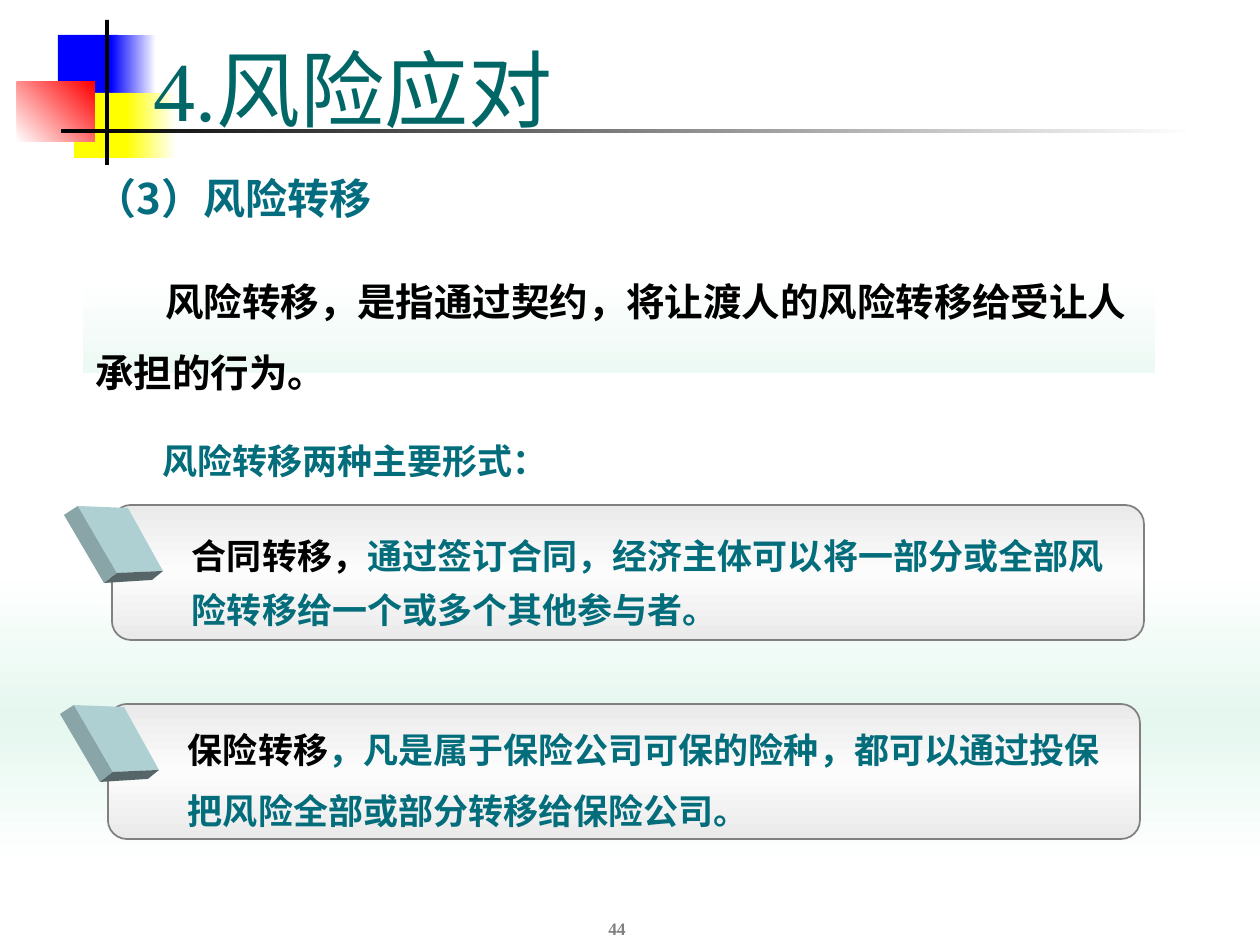
from copy import deepcopy
from dataclasses import dataclass
from pptx import Presentation
from pptx.dml.color import RGBColor
from pptx.enum.shapes import MSO_SHAPE
from pptx.enum.text import MSO_ANCHOR, MSO_AUTO_SIZE, PP_ALIGN
from pptx.oxml.ns import qn
from pptx.util import Pt

RECT, ROUND = MSO_SHAPE.RECTANGLE, MSO_SHAPE.ROUNDED_RECTANGLE
TOP, MIDDLE, BOTTOM = MSO_ANCHOR.TOP, MSO_ANCHOR.MIDDLE, MSO_ANCHOR.BOTTOM
LEFT, CENTER = PP_ALIGN.LEFT, PP_ALIGN.CENTER
NO_FIT = MSO_AUTO_SIZE.NONE
PX = 914400 / 126


@dataclass
class Theme:
    title: str = "006666"
    heading: str = "036D7F"
    accent: str = "036D7B"
    black: str = "000000"
    white: str = "FFFFFF"
    gray: str = "808080"
    blue: str = "0000FF"
    yellow: str = "FFFF00"
    red: str = "FF0000"
    mint: str = "E5F7EF"
    pale_mint: str = "EDF9F4"
    card_edge: str = "EAEAEA"
    card_mid: str = "FCFCFC"
    tile_face: str = "AED0D3"
    tile_side: str = "8AA5A8"
    tile_base: str = "566668"
    title_size: int = 48
    heading_size: int = 24
    definition_size: int = 22
    text_size: int = 20
    number_size: int = 10
    serif: str = "Times New Roman"
    sans: str = "Arial"
    cjk: str = "Noto Sans CJK SC"


theme = Theme()


def add_box(kind, bounds, colors, angle=0):
    sp = s.shapes.add_shape(kind, *[round(v * PX) for v in bounds])
    sp.shadow.inherit = False
    sp.line.fill.background()
    if len(colors) == 1:
        sp.fill.solid()
        sp.fill.fore_color.rgb = RGBColor.from_string(colors[0])
        return sp
    sp.fill.gradient()
    sp.fill.gradient_angle = (360 - angle) % 360
    if len(colors) == 3:
        stops = sp._element.spPr.find(qn("a:gradFill")).find(qn("a:gsLst"))
        middle = deepcopy(stops[0])
        middle.set("pos", "50000")
        stops.insert(1, middle)
    for stop, color in zip(sp.fill.gradient_stops, colors):
        stop.color.rgb = RGBColor.from_string(color)
    return sp


def add_run(p, text, size, color, font, bold=True):
    r = p.add_run()
    r.text = text
    r.font.size = Pt(size)
    r.font.bold = bold
    r.font.name = font
    r.font.color.rgb = RGBColor.from_string(color)
    ea = r._r.get_or_add_rPr().makeelement(qn("a:ea"), {"typeface": theme.cjk})
    r.font._element.find(qn("a:latin")).addnext(ea)


prs = Presentation()
prs.slide_width, prs.slide_height = round(1260 * PX), round(945 * PX)
s = prs.slides.add_slide(prs.slide_layouts[1])
title, body = s.placeholders

for bounds, colors, angle in [
    ((58, 35, 60, 66), [theme.blue], 0),
    ((111, 35, 45, 66), [theme.blue, theme.white], 0),
    ((74, 93, 58, 65), [theme.yellow], 0),
    ((126, 93, 50, 65), [theme.yellow, theme.white], 0),
    ((17, 82, 78, 60), [theme.white, theme.red], 315),
    ((105, 20, 4, 145), [theme.black], 0),
    ((61, 129, 1134, 4), [theme.black, theme.white], 0),
    ((0, 570, 1260, 298), [theme.white, theme.mint, theme.white], 90),
]:
    add_box(RECT, bounds, colors, angle)

for sp, bounds, anchor, text, size, color, font, bold in [
    (title, (141, 29, 1074, 116), BOTTOM, "4.风险应对",
     theme.title_size, theme.title, theme.serif, False),
    (body, (82, 166, 1000, 59), TOP, "（3）风险转移",
     theme.heading_size, theme.heading, theme.cjk, True),
]:
    sp.left, sp.top, sp.width, sp.height = [round(v * PX) for v in bounds]
    tf = sp.text_frame
    tf.auto_size = NO_FIT
    tf.vertical_anchor = anchor
    p = tf.paragraphs[0]
    pPr = p._p.get_or_add_pPr()
    pPr.set("marL", "0")
    pPr.set("indent", "0")
    pPr.append(pPr.makeelement(qn("a:buNone"), {}))
    p.alignment = LEFT
    p.space_before = Pt(0)
    add_run(p, text, size, color, font, bold)
    s.shapes._spTree.append(sp._element)

definition = add_box(RECT, (83, 276, 1072, 97), [theme.white, theme.pale_mint], 90)
tf = definition.text_frame
tf.word_wrap = True
tf.vertical_anchor = MIDDLE
p = tf.paragraphs[0]
p._p.get_or_add_pPr().set("indent", str(Pt(40)))
p.alignment = LEFT
p.line_spacing = Pt(40.5)
add_run(p, "风险转移，是指通过契约，将让渡人的风险转移给受让人承担的行为。",
        theme.definition_size, theme.black, theme.sans)

for bounds, anchor, text, size, color, font in [
    ((100, 426, 510, 68), MIDDLE, "风险转移两种主要形式：",
     theme.text_size, theme.accent, theme.cjk),
    ((486, 882, 262, 63), BOTTOM, "44", theme.number_size, theme.gray, theme.serif),
]:
    sp = s.shapes.add_textbox(*[round(v * PX) for v in bounds])
    tf = sp.text_frame
    tf.word_wrap = True
    tf.vertical_anchor = anchor
    p = tf.paragraphs[0]
    p.alignment = CENTER
    add_run(p, text, size, color, font)

tile_faces = [
    (theme.tile_side, [(-48, 10), (-34, 1), (5, 68), (-8, 78)]),
    (theme.tile_face, [(-34, 1), (16, 3), (51, 66), (5, 68)]),
    (theme.tile_base, [(-8, 78), (5, 68), (51, 66), (40, 75)]),
]
cards = [
    (112, 505, 522, [[
        ("合同转移，", theme.black, theme.serif),
        ("通过签订合同，经济主体可以将一部分或全部风险转移给一个或多个其他参与者。",
         theme.accent, theme.sans)]]),
    (108, 704, 716, [
        [("保险转移", theme.black, theme.sans),
         ("，凡是属于保险公司可保的险种，都可以通过投保", theme.accent, theme.sans)],
        [("把风险全部或部分转移给保险公司。", theme.accent, theme.sans)]]),
]
for x, y, text_top, paragraphs in cards:
    card = add_box(ROUND, (x, y, 1032, 135),
                   [theme.card_edge, theme.card_mid, theme.card_edge], 90)
    card.adjustments[0] = 0.14
    card.line.color.rgb = RGBColor.from_string(theme.gray)
    card.line.width = Pt(1)
    for color, points in tile_faces:
        corners = [(x + dx, y + dy) for dx, dy in points]
        outline = s.shapes.build_freeform(*corners[0], scale=PX)
        outline.add_line_segments(corners[1:], close=True)
        face = outline.convert_to_shape()
        face.shadow.inherit = False
        face.fill.solid()
        face.fill.fore_color.rgb = RGBColor.from_string(color)
        face.line.fill.background()
    sp = s.shapes.add_textbox(*[round(v * PX) for v in (x + 80, text_top, 930, 115)])
    tf = sp.text_frame
    tf.word_wrap = True
    tf.margin_left = tf.margin_top = tf.margin_right = tf.margin_bottom = 0
    for i, runs in enumerate(paragraphs):
        p = tf.add_paragraph() if i else tf.paragraphs[0]
        p.line_spacing = Pt(31)
        p.space_before = Pt(4 if i else 0)
        for text, color, font in runs:
            add_run(p, text, theme.text_size, color, font)

prs.save("out.pptx")
